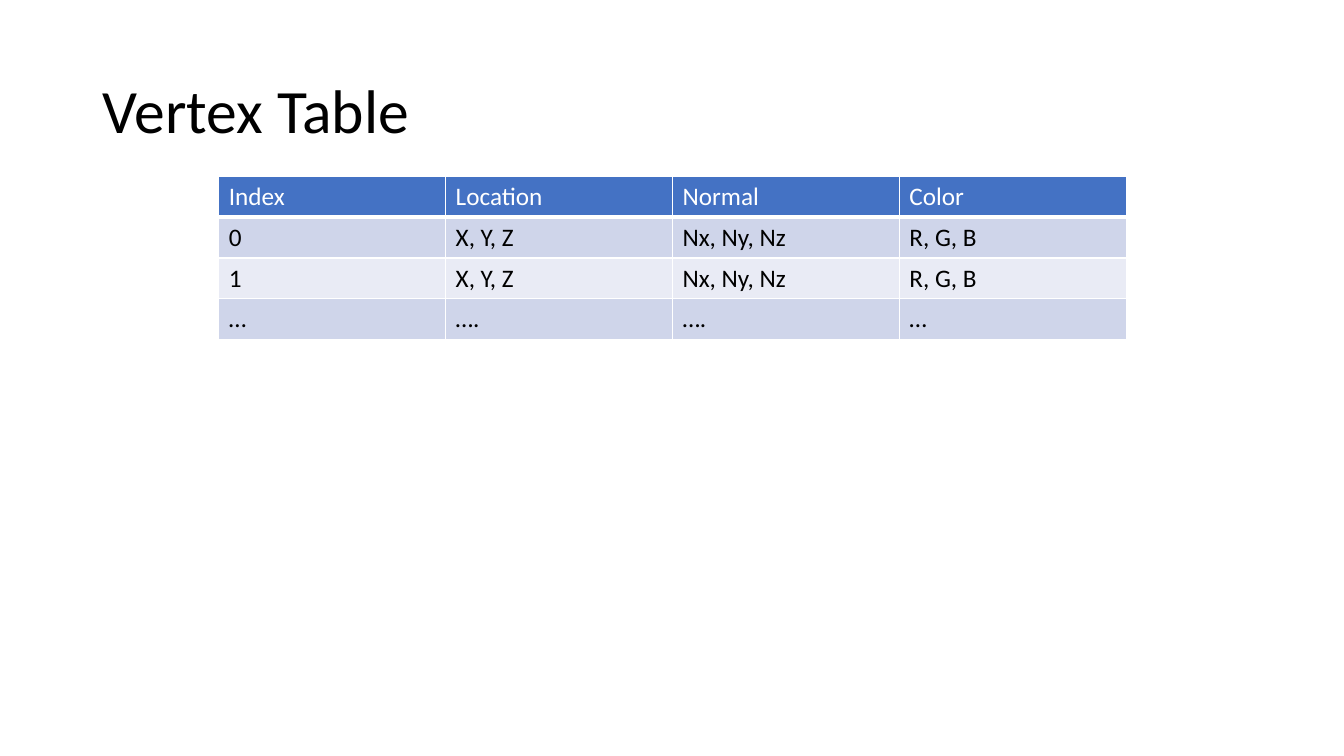
from lxml import etree
from pptx import Presentation
from pptx.dml.color import RGBColor
from pptx.enum.text import MSO_ANCHOR
from pptx.oxml.ns import qn
from pptx.util import Inches, Pt

MIDDLE = MSO_ANCHOR.MIDDLE
FONT = "Calibri"
BLACK, WHITE = "000000", "FFFFFF"
HEADER_FILL = "4472C4"
BAND_FILLS = ("CFD5EA", "E9EBF5")
COLUMN_WIDTH, ROW_HEIGHT = 2.25, 0.405

VERTEX_ROWS = [
    ("Index", "Location", "Normal", "Color"),
    ("0", "X, Y, Z", "Nx, Ny, Nz", "R, G, B"),
    ("1", "X, Y, Z", "Nx, Ny, Nz", "R, G, B"),
    ("…", "….", "….", "…"),
]


def color(value):
    return RGBColor.from_string(value)


def write(frame, text, *, size, ink, line_spacing=None):
    para = frame.paragraphs[0]
    para.line_spacing = line_spacing
    span = para.add_run()
    span.text = text
    span.font.name = FONT
    span.font.size = Pt(size)
    span.font.bold = False
    span.font.color.rgb = color(ink)


def add_title(page, text):
    box = page.shapes.add_textbox(Inches(0.92), Inches(0.4), Inches(11.5), Inches(1.45))
    frame = box.text_frame
    frame.word_wrap = True
    frame.vertical_anchor = MIDDLE
    write(frame, text, size=44, ink=BLACK, line_spacing=0.9)


def add_borders(cell, bottom_width):
    properties = cell._tc.get_or_add_tcPr()
    widths = {"a:lnL": 1, "a:lnR": 1, "a:lnT": 1, "a:lnB": bottom_width}
    for side, width in widths.items():
        line = etree.SubElement(properties, qn(side), w=str(Pt(width)))
        fill = etree.SubElement(line, qn("a:solidFill"))
        etree.SubElement(fill, qn("a:srgbClr"), val=WHITE)


def add_banded_table(page, rows, left, top):
    """Add a table with a coloured header row and alternating body rows."""
    row_count, column_count = len(rows), len(rows[0])
    table = page.shapes.add_table(
        row_count, column_count, Inches(left), Inches(top),
        Inches(column_count * COLUMN_WIDTH), Inches(row_count * ROW_HEIGHT),
    ).table
    for row_index, texts in enumerate(rows):
        is_header = row_index == 0
        fill = HEADER_FILL if is_header else BAND_FILLS[(row_index - 1) % 2]
        for column_index, text in enumerate(texts):
            cell = table.cell(row_index, column_index)
            add_borders(cell, bottom_width=3 if is_header else 1)
            cell.fill.solid()
            cell.fill.fore_color.rgb = color(fill)
            write(cell.text_frame, text, size=18, ink=WHITE if is_header else BLACK)


def main():
    deck = Presentation()
    deck.slide_width, deck.slide_height = Inches(13.33), Inches(7.5)
    page = deck.slides.add_slide(deck.slide_layouts[6])
    add_title(page, "Vertex Table")
    add_banded_table(page, VERTEX_ROWS, left=2.17, top=1.75)
    deck.save("out.pptx")


if __name__ == "__main__":
    main()
